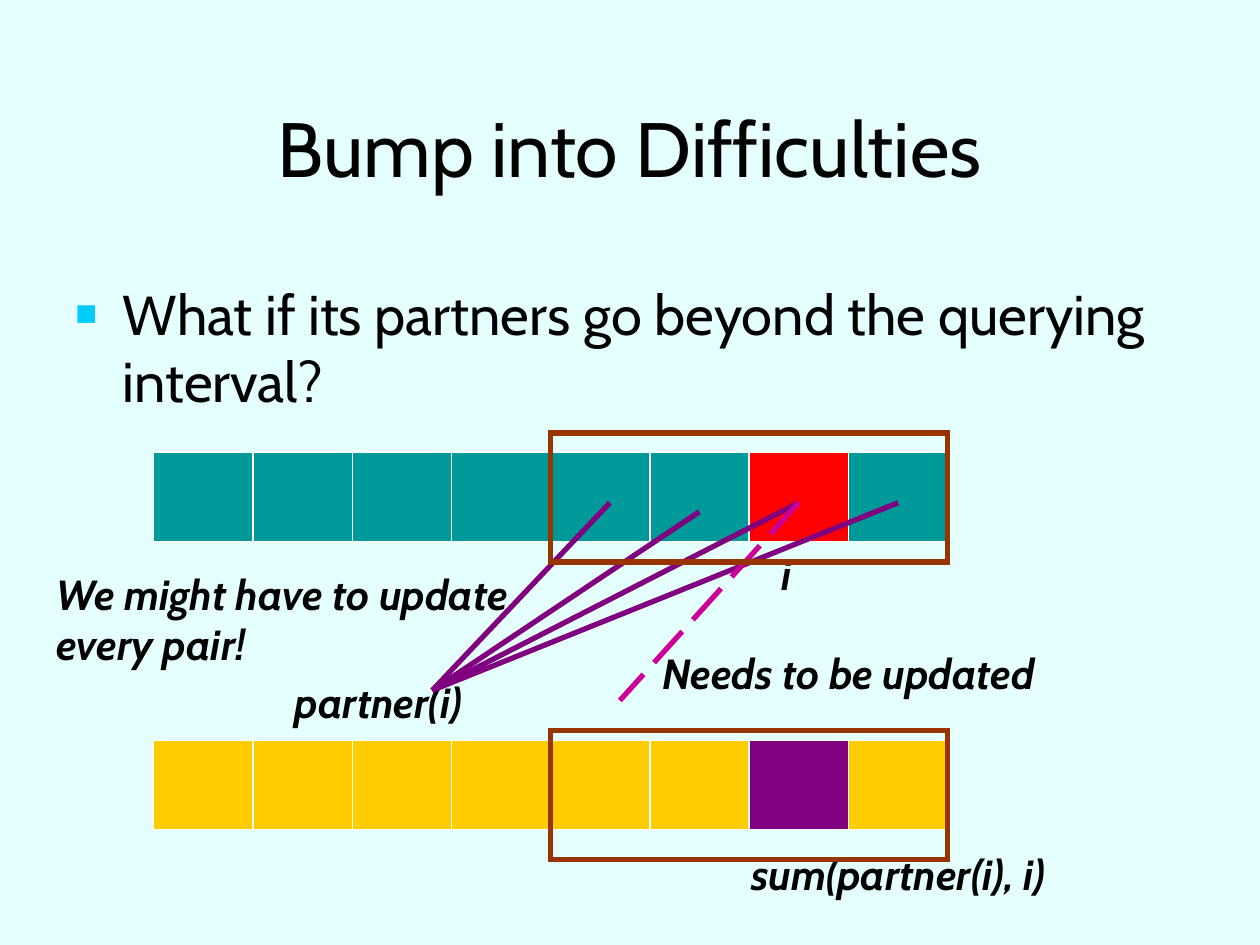
"""Build the slide on partners that go beyond the querying interval."""
from dataclasses import dataclass

from lxml import etree
from pptx import Presentation
from pptx.dml.color import RGBColor
from pptx.enum.dml import MSO_LINE
from pptx.enum.shapes import MSO_CONNECTOR, MSO_SHAPE
from pptx.enum.text import MSO_ANCHOR, PP_ALIGN
from pptx.oxml.ns import qn
from pptx.util import Pt

RECTANGLE = MSO_SHAPE.RECTANGLE
STRAIGHT = MSO_CONNECTOR.STRAIGHT
LONG_DASH = MSO_LINE.LONG_DASH
MIDDLE = MSO_ANCHOR.MIDDLE
TOP = MSO_ANCHOR.TOP
LEFT = PP_ALIGN.LEFT
CENTER = PP_ALIGN.CENTER


@dataclass(frozen=True)
class Theme:
    """Colours, fonts and sizes of the slide."""
    background: str = "E5FFFF"
    text: str = "000000"
    white: str = "FFFFFF"
    bullet: str = "00CCFF"
    teal: str = "009999"
    red: str = "FF0000"
    yellow: str = "FFCC00"
    purple: str = "800080"
    magenta: str = "CC0099"
    brown: str = "993300"
    font: str = "Cabin"
    bullet_font: str = "Arial"
    title_size: float = 44
    body_size: float = 32
    label_size: float = 24
    thin: float = 0.75
    thick: float = 3


THEME = Theme()
CELL_COUNT = 8
MARKED_CELL = 6
INTERVAL_START = 4
ROW_LEFT = 87.9
STRIP_LEFT = 104.4
CELL_WIDTH = 56.7
CELL_HEIGHT = 51
INDEX_ROW_TOP = 258.5
SUM_ROW_TOP = 423.1
PARTNER_POINT = (247, 394.5)
MARKED_POINT = (456.4, 287.3)
PARTNER_ENDS = [(348.5, 287.3), (399.6, 292.5), MARKED_POINT, (513.2, 287.3)]
LABELS = [
    ("i", 439.2, 309.8, 85, 36),
    ("partner(i)", 161.5, 383.3, 136, 36),
    ("sum(partner(i), i)", 422.2, 481.5, 238, 36),
    ("Needs to be updated", 371.5, 366.5, 272.5, 36),
    ("We might have to update every pair!", 25.2, 321.1, 272.5, 65),
]


def rgb(value):
    """Turn a hex string into a colour."""
    return RGBColor.from_string(value)


def add_text(page, text, left, top, width, height, size,
             align=LEFT, anchor=TOP, bullet=False, **font):
    """Add a wrapped text box holding one paragraph."""
    box = page.shapes.add_textbox(Pt(left), Pt(top), Pt(width), Pt(height))
    frame = box.text_frame
    frame.word_wrap = True
    frame.vertical_anchor = anchor
    para = frame.paragraphs[0]
    para.alignment = align
    if bullet:
        add_bullet(para)
    span = para.add_run()
    span.text = text
    span.font.color.rgb = rgb(THEME.text)
    for name, value in {"name": THEME.font, "size": Pt(size), **font}.items():
        setattr(span.font, name, value)


def add_bullet(para):
    """Give a paragraph a small square bullet and a hanging indent."""
    properties = para._p.get_or_add_pPr()
    properties.set("marL", str(Pt(27)))
    properties.set("indent", str(Pt(-27)))
    color = etree.SubElement(properties, qn("a:buClr"))
    etree.SubElement(color, qn("a:srgbClr"), val=THEME.bullet)
    etree.SubElement(properties, qn("a:buSzPct"), val="65000")
    etree.SubElement(properties, qn("a:buFont"), typeface=THEME.bullet_font)
    etree.SubElement(properties, qn("a:buChar"), char="■")


def add_box(page, left, top, width, height, line, weight, fill=None):
    """Add a rectangle with a mitred outline, filled when a colour is given."""
    box = page.shapes.add_shape(RECTANGLE, Pt(left), Pt(top), Pt(width), Pt(height))
    box.shadow.inherit = False
    if fill:
        box.fill.solid()
        box.fill.fore_color.rgb = rgb(fill)
    else:
        box.fill.background()
    box.line.color.rgb = rgb(line)
    box.line.width = Pt(weight)
    outline = box.line._get_or_add_ln()
    etree.SubElement(outline, qn("a:miter"), lim="800000")


def add_row(page, top, color, marked_color):
    """Stack ever shorter strips into a row of cells, then mark one cell."""
    first_end = ROW_LEFT + CELL_WIDTH
    strips = [(STRIP_LEFT, ROW_LEFT + count * CELL_WIDTH, color)
              for count in range(CELL_COUNT - 1, 1, -1)]
    marked_left = ROW_LEFT + MARKED_CELL * CELL_WIDTH
    strips = [(first_end, ROW_LEFT + CELL_COUNT * CELL_WIDTH, color), *strips,
              (ROW_LEFT, first_end, color),
              (marked_left, marked_left + CELL_WIDTH, marked_color)]
    for left, right, fill in strips:
        add_box(page, left, top, right - left, CELL_HEIGHT,
                THEME.white, THEME.thin, fill)


def add_interval(page, top, height):
    """Frame the querying interval of a row."""
    add_box(page, ROW_LEFT + INTERVAL_START * CELL_WIDTH, top,
            (CELL_COUNT - INTERVAL_START) * CELL_WIDTH, height,
            THEME.brown, THEME.thick)


def add_line(page, start, end, color, dash=None):
    """Add a straight line between two points."""
    line = page.shapes.add_connector(STRAIGHT, *map(Pt, start + end))
    line.line.color.rgb = rgb(color)
    line.line.width = Pt(THEME.thick)
    if dash:
        line.line.dash_style = dash
    etree.SubElement(line._element.spPr, qn("a:effectLst"))


def main():
    """Build and save the slide."""
    deck = Presentation()
    deck.slide_width, deck.slide_height = Pt(720), Pt(540)
    page = deck.slides.add_slide(deck.slide_layouts[6])
    page.background.fill.solid()
    page.background.fill.fore_color.rgb = rgb(THEME.background)

    add_text(page, "Bump into Difficulties", 36, 30, 648, 108, THEME.title_size,
             CENTER, MIDDLE)
    add_text(page, "What if its partners go beyond the querying interval?",
             36, 156, 648, 324, THEME.body_size, bullet=True)

    add_row(page, INDEX_ROW_TOP, THEME.teal, THEME.red)
    add_row(page, SUM_ROW_TOP, THEME.yellow, THEME.purple)
    for label in LABELS:
        add_text(page, *label, THEME.label_size, bold=True, italic=True)
    add_interval(page, 417.6, 73.4)
    for end in PARTNER_ENDS:
        add_line(page, end, PARTNER_POINT, THEME.purple)
    add_line(page, MARKED_POINT, (354.2, 400.3), THEME.magenta, LONG_DASH)
    add_interval(page, 247.4, 73.8)
    deck.save("out.pptx")


if __name__ == "__main__":
    main()
